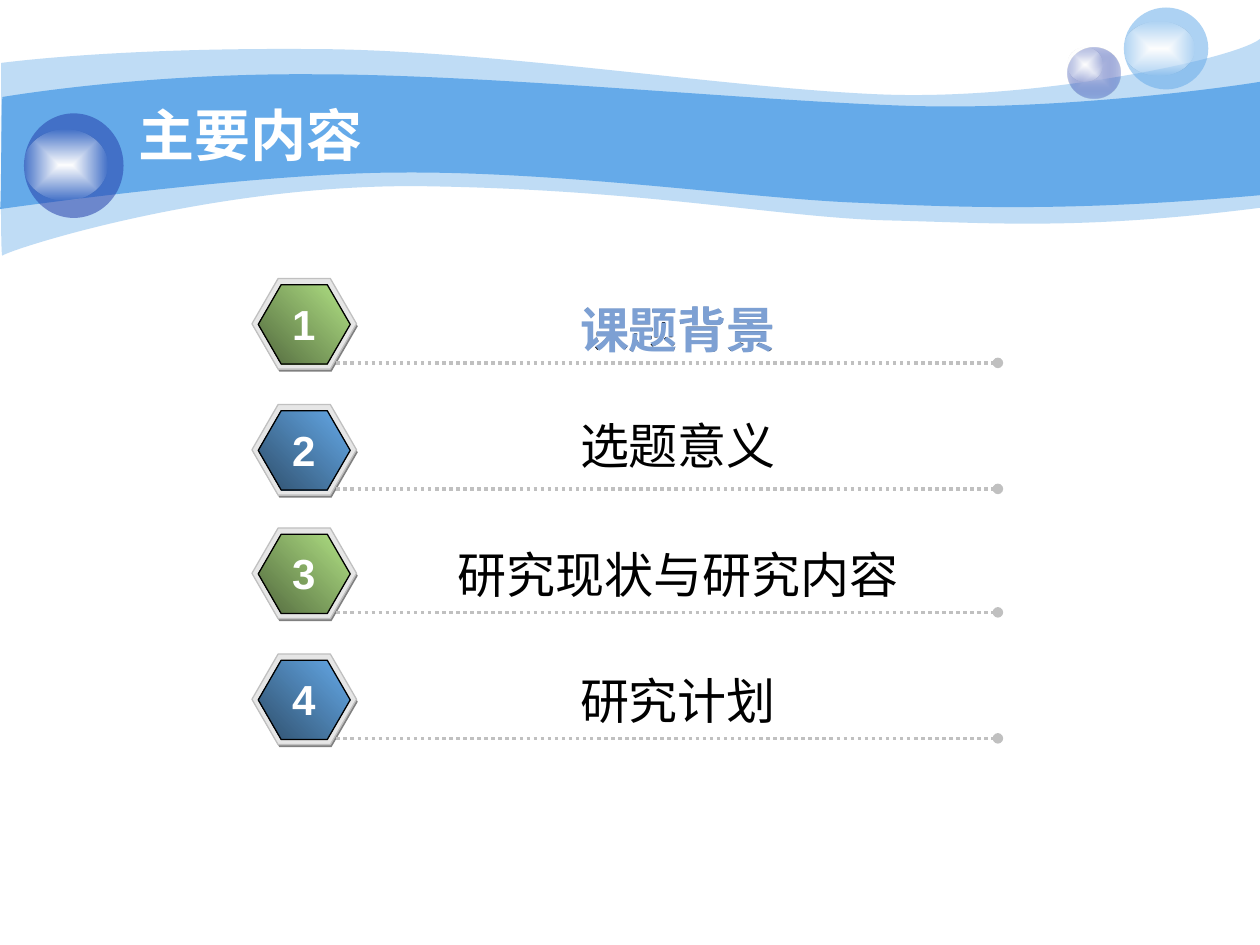
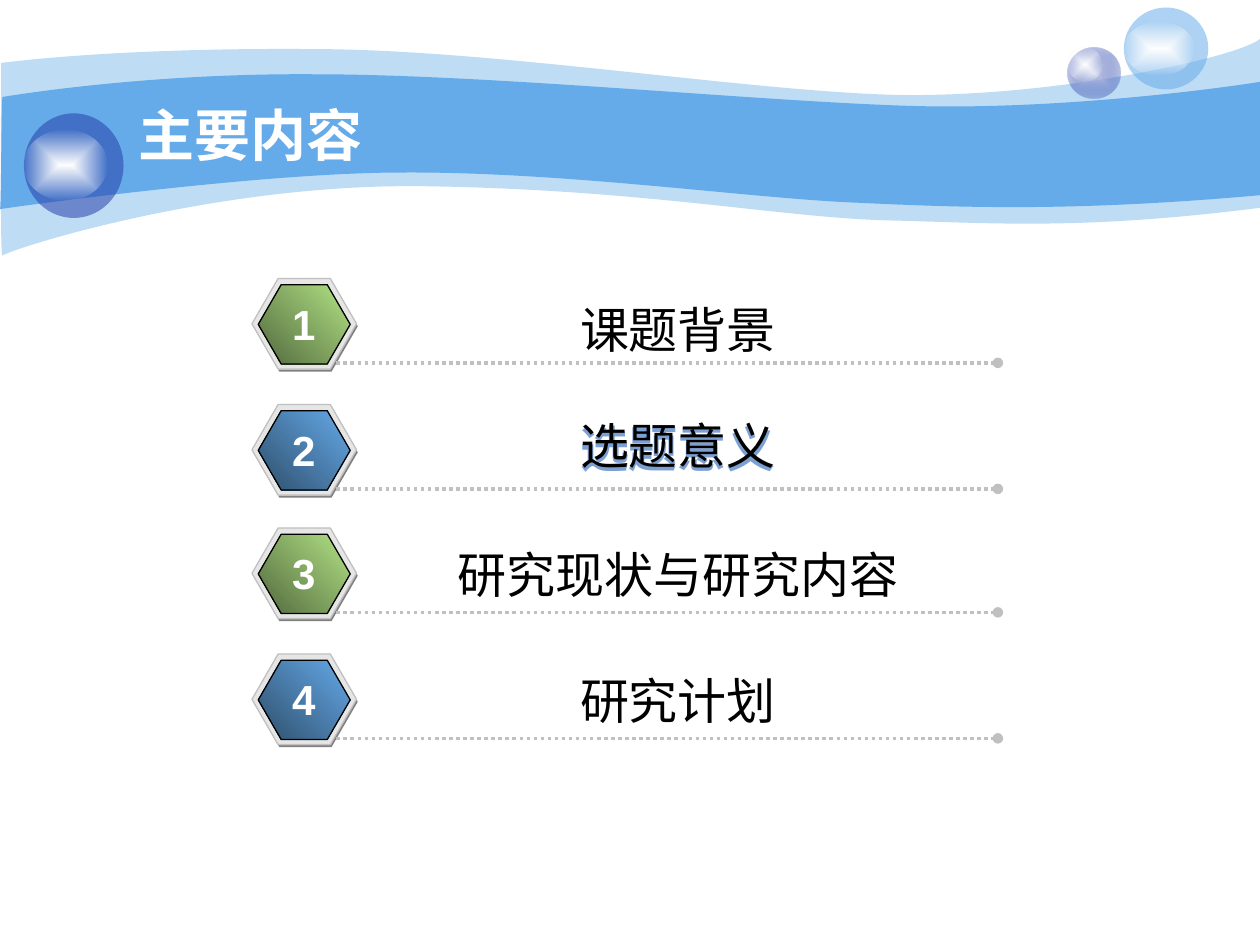
from dataclasses import dataclass

from lxml.etree import SubElement
from pptx import Presentation
from pptx.dml.color import RGBColor
from pptx.enum.dml import MSO_LINE
from pptx.enum.shapes import MSO_CONNECTOR, MSO_SHAPE
from pptx.enum.text import MSO_ANCHOR, MSO_AUTO_SIZE, PP_ALIGN
from pptx.oxml import parse_xml
from pptx.oxml.ns import nsdecls, qn
from pptx.util import Inches, Pt


@dataclass(frozen=True)
class Theme:
    font: str = "Arial"
    title_size: int = 32
    label_size: int = 28
    number_size: int = 24
    sky: str = "65AAE9"
    navy: str = "233DA9"
    lavender: str = "C7CEE9"
    green: str = "B2E385"
    dark_green: str = "52693E"
    dark_blue: str = "2F4F6C"
    highlight: str = "7DA0D3"
    black: str = "000000"
    white: str = "FFFFFF"
    shade: str = "808080"
    rim: str = "E6E6E6"
    rule: str = "C0C0C0"


THEME = Theme()


def paint(shape, *stops, angle=None, line=None):
    """Fill with (colour, opacity %) stops: one is solid, two a gradient, boxed if no angle."""
    colours = [
        f'<a:srgbClr val="{colour}"><a:alpha val="{opacity * 1000}"/></a:srgbClr>'
        for colour, opacity in stops
    ]
    if len(stops) == 1:
        fill = f'<a:solidFill {nsdecls("a")}>{colours[0]}</a:solidFill>'
    else:
        if angle is None:
            direction = ('<a:path path="rect"><a:fillToRect l="50000" t="50000" '
                         'r="50000" b="50000"/></a:path>')
        else:
            direction = f'<a:lin ang="{angle * 60000}" scaled="1"/>'
        fill = (f'<a:gradFill {nsdecls("a")} rotWithShape="1"><a:gsLst>'
                f'<a:gs pos="0">{colours[0]}</a:gs><a:gs pos="100000">{colours[1]}</a:gs>'
                f'</a:gsLst>{direction}</a:gradFill>')
    shape.shadow.inherit = False
    shape.fill.background()
    properties = shape.element.spPr
    properties.replace(properties.find(qn("a:noFill")), parse_xml(fill))
    if line:
        shape.line.color.rgb = RGBColor.from_string(line)
        shape.line.width = Pt(0.75)
    else:
        shape.line.fill.background()


def write_text(shape, text, *, size, colour, bold=False, align=PP_ALIGN.CENTER,
               anchor=MSO_ANCHOR.TOP, wrap=True, resize=MSO_AUTO_SIZE.SHAPE_TO_FIT_TEXT):
    frame = shape.text_frame
    frame.word_wrap = wrap
    frame.auto_size = resize
    frame.vertical_anchor = anchor
    paragraph = frame.paragraphs[0]
    paragraph.alignment = align
    run = paragraph.add_run()
    run.text = text
    run.font.name = THEME.font
    run.font.size = Pt(size)
    run.font.bold = bold
    run.font.color.rgb = RGBColor.from_string(colour)


presentation = Presentation()
presentation.slide_width = Inches(10)
presentation.slide_height = Inches(7.5)
layout = presentation.slide_layouts[5]
slides = [presentation.slides.add_slide(layout) for _ in range(2)]

# Waves: a start point, then cubic curves of two control points and an end point.
waves = [
    (41, 0, 0.31, [
        (0.01, 0.5),
        (0.25, 0.47), (1.08, 0.38), (2.47, 0.39),
        (3.86, 0.39), (5.76, 0.7), (6.99, 0.75),
        (8.22, 0.8), (9.8, 0.47), (10, 0.31),
        (10, 0.31), (10, 1.65), (10, 1.65),
        (8.58, 1.83), (7.88, 1.77), (7.05, 1.75),
        (6.22, 1.73), (5.15, 1.51), (3.44, 1.48),
        (1.72, 1.44), (0.05, 1.99), (0.02, 2.03),
        (0, 2.08), (0.01, 0.75), (0.01, 0.5),
    ]),
    (100, -0.01, 0.58, [
        (0.02, 0.77),
        (0.03, 0.77), (1.11, 0.58), (2.49, 0.59),
        (3.87, 0.59), (5.96, 0.8), (7.19, 0.84),
        (8.41, 0.88), (9.76, 0.69), (10, 0.65),
        (10, 0.65), (10, 1.55), (10, 1.55),
        (8.53, 1.68), (7.66, 1.65), (6.82, 1.61),
        (5.99, 1.58), (4.48, 1.36), (3.18, 1.37),
        (2.04, 1.37), (-0.01, 1.66), (0, 1.66),
        (0.01, 1.66), (0.01, 0.77), (0.02, 0.77),
    ]),
]
# Spheres: body box, glow box, body colours.
spheres = [
    ((8.47, 0.38, 0.42, 0.4), (8.47, 0.38, 0.28, 0.27),
     [(THEME.lavender, 100), (THEME.navy, 31)]),
    ((8.92, 0.06, 0.67, 0.65), (8.92, 0.17, 0.56, 0.43), [(THEME.sky, 53)]),
    ((0.19, 0.9, 0.79, 0.83), (0.19, 1.03, 0.66, 0.56), [(THEME.navy, 53)]),
]

# The banner is drawn on the first slide and then moved to the shared layout.
banner = []
for opacity, left, top, points in waves:
    start, *others = [(Inches(x), Inches(y)) for x, y in points]
    builder = slides[0].shapes.build_freeform(*start)
    builder.add_line_segments(others)
    wave = builder.convert_to_shape()
    outline = wave.element.find(".//" + qn("a:path"))
    lines = outline.findall(qn("a:lnTo"))
    close = outline.find(qn("a:close"))
    for first in range(0, len(others), 3):
        curve = SubElement(outline, qn("a:cubicBezTo"))
        for line in lines[first:first + 3]:
            curve.append(line[0])
            outline.remove(line)
    outline.append(close)
    paint(wave, (THEME.sky, opacity))
    banner.append(wave)

for body_box, glow_box, body_stops in spheres:
    sphere = slides[0].shapes.add_group_shape()
    glow_stops = [(THEME.white, 100), (THEME.white, 0)]
    for box, stops in [(body_box, body_stops), (glow_box, glow_stops)]:
        ellipse = sphere.shapes.add_shape(MSO_SHAPE.OVAL, *map(Inches, box))
        paint(ellipse, *stops)
    banner.append(sphere)

for position, shape in enumerate(banner, start=2):
    layout.shapes.element.insert(position, shape.element)

# Agenda rows: badge top, label top, label.
agenda = [
    (2.21, 2.33, "课题背景"),
    (3.21, 3.25, "选题意义"),
    (4.19, 4.27, "研究现状与研究内容"),
    (5.19, 5.27, "研究计划"),
]
badge_colours = [(THEME.green, THEME.dark_green), (THEME.sky, THEME.dark_blue)]
# Highlight of each slide: row number, vertical shift, whether it lies over the label.
highlights = [(1, 0, True), (2, 0.02, False)]

for slide, (current, shift, over) in zip(slides, highlights):
    title = slide.shapes.title
    title.left, title.top, title.width, title.height = map(Inches, (1, 0.88, 8.08, 0.37))
    write_text(title, "主要内容", size=THEME.title_size, colour=THEME.white, bold=True,
               align=PP_ALIGN.LEFT, anchor=MSO_ANCHOR.MIDDLE, resize=MSO_AUTO_SIZE.NONE)

    for number, (top, label_top, label) in enumerate(agenda, start=1):
        badge = slide.shapes.add_group_shape()
        light, dark = badge_colours[(number - 1) % 2]
        hexagons = [
            ((2.01, top + 0.02, 0.83, 0.72), [(THEME.shade, 100)], None),
            ((2, top, 0.83, 0.72), [(THEME.rim, 100)], THEME.rule),
            ((2.05, top + 0.05, 0.73, 0.63), [(light, 100), (dark, 100)], THEME.black),
        ]
        for box, stops, edge in hexagons:
            hexagon = badge.shapes.add_shape(MSO_SHAPE.HEXAGON, *map(Inches, box))
            hexagon.adjustments[0] = 0.289
            paint(hexagon, *stops, angle=135, line=edge)

        rule_top = Inches(top + 0.67)
        rule = slide.shapes.add_connector(
            MSO_CONNECTOR.STRAIGHT, Inches(2.67), rule_top, Inches(7.92), rule_top)
        rule.line.color.rgb = RGBColor.from_string(THEME.rule)
        rule.line.width = Pt(2)
        rule.line.dash_style = MSO_LINE.ROUND_DOT
        SubElement(rule.element.spPr.find(qn("a:ln")), qn("a:tailEnd"), type="oval")
        SubElement(rule.element.spPr, qn("a:effectLst"))

        layers = [(0, THEME.black, False)]
        if number == current:
            layers.insert(1 if over else 0, (shift, THEME.highlight, True))
        for offset, colour, bold in layers:
            label_box = slide.shapes.add_textbox(
                *map(Inches, (2.92, label_top + offset, 4.92, 0.57)))
            write_text(label_box, label, size=THEME.label_size, colour=colour, bold=bold)

        number_box = slide.shapes.add_textbox(*map(Inches, (2.22, top + 0.11, 0.38, 0.5)))
        write_text(number_box, str(number), size=THEME.number_size, colour=THEME.white,
                   bold=True, wrap=False)

presentation.save("out.pptx")
